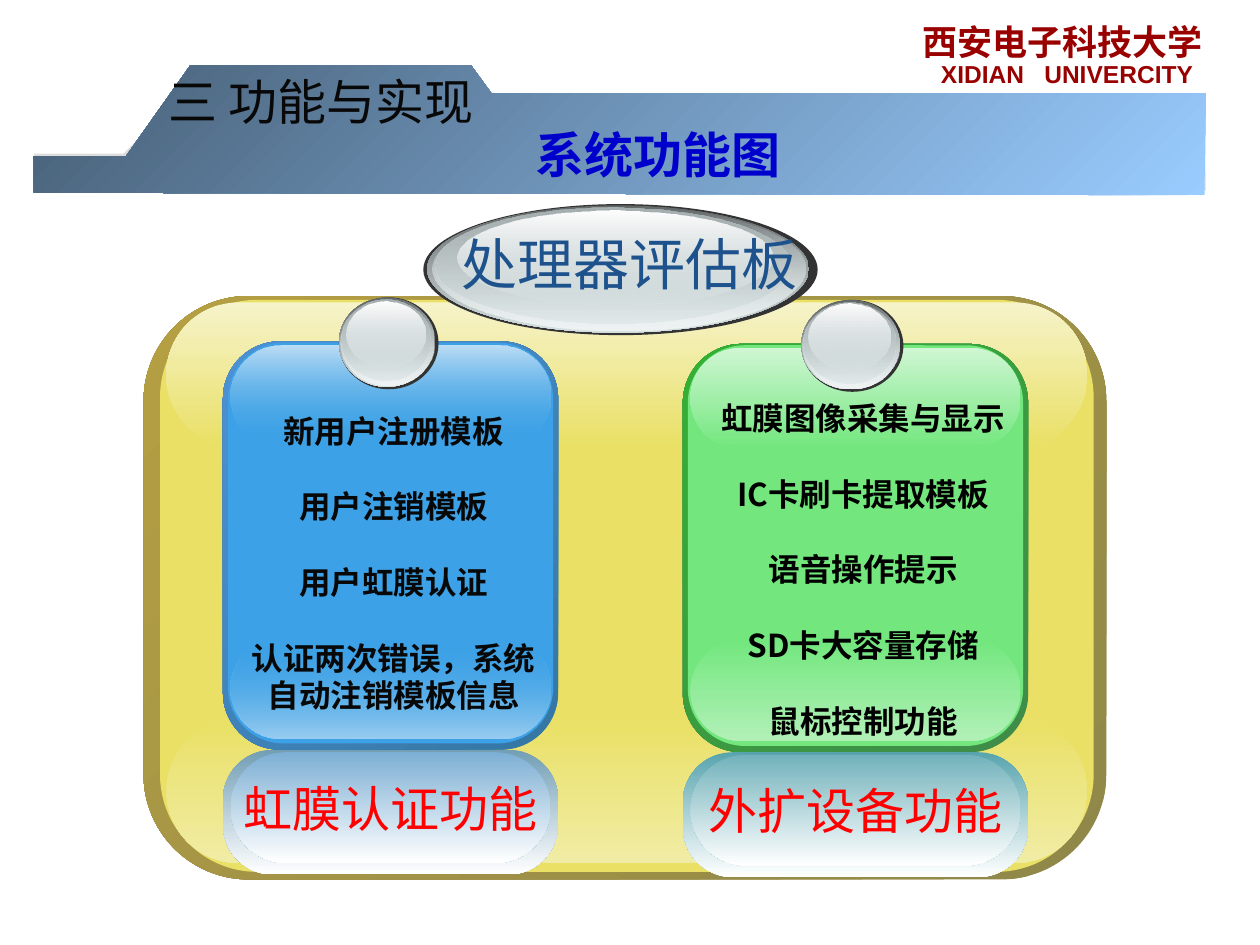
from lxml import etree
from pptx import Presentation, util as u
from pptx.dml.color import RGBColor
from pptx.enum import shapes as s, text as t
from pptx.oxml.ns import qn

PX = 9144  # 100 px to the inch
ROUND = s.MSO_SHAPE.ROUNDED_RECTANGLE
OVAL = s.MSO_SHAPE.OVAL
CJK = "Noto Sans CJK SC"
MID = t.PP_ALIGN.CENTER

# Gradients: angle, then (colour, opacity) or colour at each end
GLASS = [
    "333333",
    (90, "626768", "D6E1E2"),
    (90, ("D6E1E2", 0), "EFF3F3"),
    (90, "A8B1B2", ("D6E1E2", 48)),
    (90, "FEFEFE", ("D6E1E2", 38)),
]
# Each ring: shift right, shift down, loss of width, loss of height
LARGE = [(0, 0, 0, 0), (3, 1, 10, 3), (7, 2, 17, 6), (10, 3, 32, 12), (27, 5, 63, 29)]
SMALL = [(0, 0, 0, 0), (0, 0, 3, 2), (1, 1, 4, 4), (2, 2, 8, 9), (6, 3, 16, 21)]

LEFT = dict(
    edge=(225, "3477A4", "4E91D4"), face="3CA1E6",
    low=(90, ("3CA1E6", 0), "9ACDF1"), top=(90, "BDDEF5", ("3CA1E6", 0)),
    base=(90, "729EB4", "FFFFFF"), plate=(90, "7DAFD4", "FFFFFF"),
)
RIGHT = dict(
    edge=(225, "3F8B4A", "34B034"), face="73E77E",
    low=(90, "73E77E", "B1F0B7"), top=(90, "CFF6D3", "73E77E"),
    base=(90, "58A4AE", "FFFFFF"), plate=(90, "72B2BB", "FFFFFF"),
)


def rgb(code):
    return RGBColor.from_string(code)


def px(*vals):
    return [u.Emu(v * PX) for v in vals]


def paint(shape, fill):
    """Fill with a plain colour or a two-stop gradient, without line or shadow."""
    shape.shadow.inherit = False
    shape.line.fill.background()
    if isinstance(fill, str):
        shape.fill.solid()
        shape.fill.fore_color.rgb = rgb(fill)
        return shape
    turn, *ends = fill
    shape.fill.gradient()
    shape.fill.gradient_angle = 360 - turn
    marks = shape._element.spPr.findall(".//" + qn("a:gs"))
    for stop, mark, end, pos in zip(shape.fill.gradient_stops, marks, ends, (0, 1)):
        code, clear = (end, None) if isinstance(end, str) else end
        stop.color.rgb = rgb(code)
        stop.position = pos
        if clear is not None:
            etree.SubElement(mark[0], qn("a:alpha"), val=str(clear * 1000))
    return shape


def form(slide, kind, box, fill, curve=None):
    shape = slide.shapes.add_shape(kind, *px(*box))
    if curve is not None:
        shape.adjustments[0] = curve
    return paint(shape, fill)


def band(slide, points, fill):
    pen = slide.shapes.build_freeform(*points[0], scale=PX)
    pen.add_line_segments(points[1:], close=True)
    paint(pen.convert_to_shape(), fill)


def write(shape, lines, size, color, face="Arial", bold=False, align=None,
          gap=0, inset=10, tab=None, **frame):
    """Put paragraphs into a shape; gap is the space between them in points."""
    body = shape.text_frame
    look = dict(word_wrap=True, auto_size=t.MSO_AUTO_SIZE.NONE,
                vertical_anchor=t.MSO_ANCHOR.TOP)
    look.update(frame)
    sides = dict(zip(("margin_left", "margin_top", "margin_right", "margin_bottom"),
                     px(inset, 5, 10, 5)))
    for key, val in {**look, **sides}.items():
        setattr(body, key, val)
    for i, line in enumerate(lines):
        para = body.paragraphs[0] if i == 0 else body.add_paragraph()
        if tab:
            stops = etree.SubElement(para._p.get_or_add_pPr(), qn("a:tabLst"))
            etree.SubElement(stops, qn("a:tab"), pos=str(tab * PX), algn="l")
        if align is not None:
            para.alignment = align
        if i:
            para.space_before = u.Pt(gap)
        run = para.add_run()
        run.text = line
        for key, val in dict(name=face, size=u.Pt(size), bold=bold).items():
            setattr(run.font, key, val)
        run.font.color.rgb = rgb(color)
        etree.SubElement(run._r.rPr, qn("a:ea"), typeface=CJK)


def note(slide, box, lines, size, color, **look):
    write(slide.shapes.add_textbox(*px(*box)), lines, size, color, **look)


def orb(slide, box, rings):
    x, y, w, h = box
    for (dx, dy, dw, dh), fill in zip(rings, GLASS):
        form(slide, OVAL, (x + dx, y + dy, w - dw, h - dh), fill)


def card(slide, x, y, w, tone, label, ball):
    form(slide, ROUND, (x, y, w, 324), tone["edge"], 0.17)
    form(slide, ROUND, (x + 4, y + 1, w - 8, 318), tone["face"], 0.17)
    form(slide, ROUND, (x + 6, y + 235, w - 12, 80), tone["low"], 0.5)
    form(slide, ROUND, (x + 6, y + 3, w - 12, 80), tone["top"], 0.5)
    form(slide, ROUND, (x, y + 324, w, 99), tone["base"], 0.4)
    plate = form(slide, ROUND, (x + 6, y + 326, w - 12, 88), tone["plate"], 0.5)
    write(plate, [label], 28, "FF0000", face="Calibri", align=MID,
          word_wrap=False, vertical_anchor=t.MSO_ANCHOR.MIDDLE)
    orb(slide, ball, SMALL)


def header(slide):
    band(slide, [(27, 122), (98, 122), (153, 68), (376, 68), (393, 85),
                 (956, 84), (957, 151), (28, 149)], "DDDDDD")
    band(slide, [(100, 124), (151, 52), (374, 52), (390, 74), (957, 74),
                 (956, 155), (27, 153), (27, 124)], (225, "99CCFF", "465E75"))
    note(slide, (722, 11, 246, 44), ["西安电子科技大学"], 20, "990000", bold=True)
    note(slide, (737, 42, 230, 34), ["XIDIAN\tUNIVERCITY"], 14, "990000",
         bold=True, tab=82)
    title = slide.shapes.title
    slide.shapes._spTree.append(title._element)  # in front of the band
    title.left, title.top, title.width, title.height = px(67, 91, 858, 62)
    write(title, ["系统功能图"], 28, "0000CC", face="DejaVu Sans", bold=True,
          align=MID, inset=62, vertical_anchor=t.MSO_ANCHOR.MIDDLE)
    note(slide, (98, 52, 331, 57), ["三 功能与实现"], 28, "080808", inset=36)


def board(slide):
    form(slide, ROUND, (114, 235, 764, 463), (225, "8F8849", "B59F43"), 0.18)
    form(slide, ROUND, (127, 238, 741, 454), "E9E065", 0.17)
    form(slide, ROUND, (132, 570, 731, 115), (90, "E9E065", "F1ECA5"), 0.5)
    form(slide, ROUND, (132, 240, 731, 115), (90, "F6F3CA", "E9E065"), 0.5)
    orb(slide, (336, 162, 313, 104), LARGE)
    note(slide, (336, 177, 328, 64), ["处理器评估板"], 32, "1D528D", align=MID)


def main():
    deck = Presentation()
    deck.slide_width, deck.slide_height = px(1000, 750)
    slide = deck.slides.add_slide(deck.slide_layouts[5])
    header(slide)
    board(slide)
    card(slide, 177, 271, 266, LEFT, "虹膜认证功能", (269, 236, 79, 73))
    card(slide, 542, 273, 274, RIGHT, "外扩设备功能", (636, 238, 81, 73))
    items = dict(size=18, bold=True, align=MID, gap=21.6)
    note(slide, (186, 322, 253, 310),
         ["新用户注册模板", "用户注销模板", "用户虹膜认证",
          "认证两次错误，系统自动注销模板信息"], color="080808", **items)
    note(slide, (555, 312, 260, 364),
         ["虹膜图像采集与显示", "IC卡刷卡提取模板", "语音操作提示",
          "SD卡大容量存储", "鼠标控制功能"], color="000000", face=CJK, **items)
    deck.save("out.pptx")


if __name__ == "__main__":
    main()
